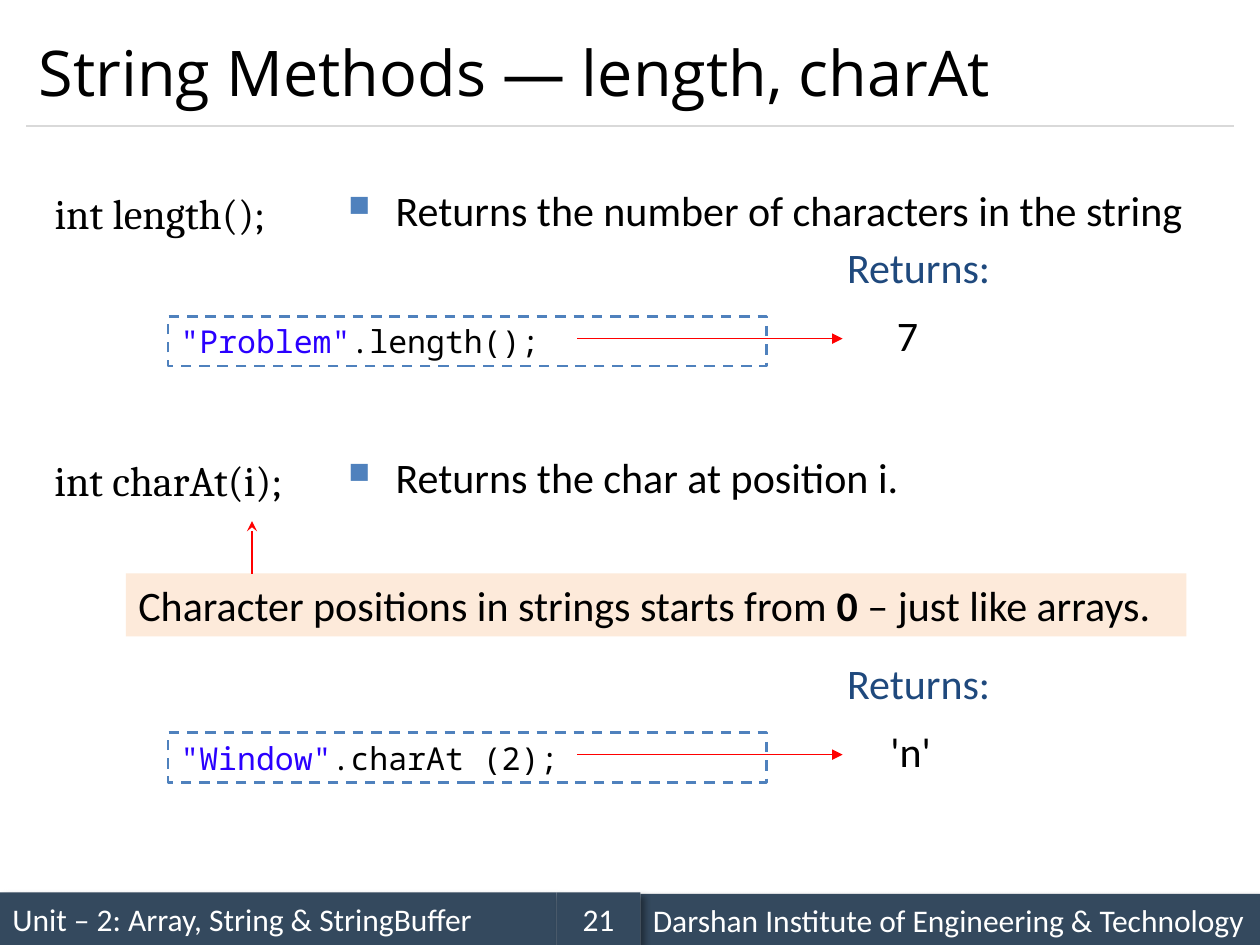
from lxml import etree
from pptx import Presentation
from pptx import util as u
from pptx.dml.color import RGBColor
from pptx.enum import dml, shapes, text
from pptx.oxml.ns import qn

PX = 9525  # EMU per px, 96 px to the inch
COLORS = {"bar": "34495E", "white": "FFFFFF", "black": "000000",
          "rule": "D9D9D9", "accent": "4F81BD", "navy": "1F497D",
          "arrow": "FF0000", "note": "FDEADA", "string": "2A00FF"}
BODY = {"name": "Calibri", "size": u.Pt(24)}
FOOTER = {"name": "Calibri", "size": u.Pt(18)}
TITLE = {"name": "Open Sans", "size": u.Pt(36)}
SIGNATURE = {"name": "Cambria", "size": u.Pt(24)}
CODE = {"name": "Noto Sans Mono", "size": u.Pt(18)}
TOP, MIDDLE = text.MSO_ANCHOR.TOP, text.MSO_ANCHOR.MIDDLE
LEFT, CENTER = text.PP_ALIGN.LEFT, text.PP_ALIGN.CENTER
HANGING = 36


def rgb(key):
    return RGBColor.from_string(COLORS[key])


def place(sp, box):
    sp.left, sp.top, sp.width, sp.height = (v * PX for v in box)


def write(sp, runs, font, anchor=TOP, align=LEFT, grow=False):
    """Fill a shape with one paragraph; each run is (words, colour, bold)."""
    tf = sp.text_frame
    size = text.MSO_AUTO_SIZE
    frame = {"word_wrap": True, "vertical_anchor": anchor,
             "auto_size": size.SHAPE_TO_FIT_TEXT if grow else size.NONE}
    for name, value in frame.items():
        setattr(tf, name, value)
    p = tf.paragraphs[0]
    p.alignment = align
    for words, color, bold in runs:
        r = p.add_run()
        r.text = words
        for name, value in {**font, "bold": bold}.items():
            setattr(r.font, name, value)
        r.font.color.rgb = rgb(color)
    return p


def hang(p, bullet=None):
    """Give a paragraph a hanging indent, with a square bullet if asked."""
    pPr = p._p.get_or_add_pPr()
    pPr.set("marL", str(HANGING * PX))
    pPr.set("indent", str(-HANGING * PX))
    if not bullet:
        etree.SubElement(pPr, qn("a:buNone"))
        return
    clr = etree.SubElement(pPr, qn("a:buClr"))
    etree.SubElement(clr, qn("a:srgbClr"), val=COLORS["accent"])
    etree.SubElement(pPr, qn("a:buSzPct"), val="70000")
    etree.SubElement(pPr, qn("a:buChar"), char=bullet)


def add_text(s, box, runs, font, **layout):
    sp = s.shapes.add_textbox(*(v * PX for v in box))
    return write(sp, runs, font, **layout)


def add_box(s, box, fill=None):
    sp = s.shapes.add_shape(shapes.MSO_SHAPE.RECTANGLE, *(v * PX for v in box))
    sp.shadow.inherit = False
    sp.line.fill.background()
    if fill:
        sp.fill.solid()
        sp.fill.fore_color.rgb = rgb(fill)
    else:
        sp.fill.background()
    return sp


def add_line(s, start, end, color, head=None):
    ln = s.shapes.add_connector(shapes.MSO_CONNECTOR.STRAIGHT,
                                *(v * PX for v in (*start, *end)))
    ln.line.color.rgb = rgb(color)
    ln.line.width = u.Pt(0.75)
    if head:
        etree.SubElement(ln.line._get_or_add_ln(), qn("a:tailEnd"), type=head)
    etree.SubElement(ln._element.spPr, qn("a:effectLst"))


def add_footer(s, box, words, align=LEFT):
    sp = add_box(s, box, "bar")
    effects = sp._element.spPr.find(qn("a:effectLst"))
    shadow = etree.SubElement(effects, qn("a:outerShdw"), blurRad=str(u.Pt(4)),
                              dist=str(u.Pt(3)), dir="2700000")
    clr = etree.SubElement(shadow, qn("a:srgbClr"), val=COLORS["black"])
    etree.SubElement(clr, qn("a:alpha"), val="40000")
    write(sp, [(words, "white", False)], FOOTER, MIDDLE, align)


def format_signature(p):
    for name, value in {"line_spacing": 1.14, "space_before": u.Pt(0)}.items():
        setattr(p, name, value)
    hang(p)


def add_example(s, y, literal, call, result, result_x):
    """Draw a dashed code box with an arrow to its labelled result."""
    add_text(s, (624, y, 152, 48), [("Returns:", "navy", False)], BODY,
             align=CENTER, grow=True)
    add_text(s, (result_x, y + 52, 117, 48), [(result, "black", False)], BODY,
             grow=True)
    sp = add_box(s, (128, y + 62, 456, 38))
    sp.line.color.rgb = rgb("accent")
    sp.line.width = u.Pt(1.5)
    sp.line.dash_style = dml.MSO_LINE.DASH
    write(sp, [(literal, "string", False), (call, "black", False)], CODE,
          grow=True)
    add_line(s, (440, y + 79), (642, y + 79), "arrow", "triangle")


def main():
    prs = Presentation()
    prs.slide_width, prs.slide_height = 960 * PX, 720 * PX
    s = prs.slides.add_slide(prs.slide_layouts[1])

    add_footer(s, (0, 680, 424, 40), "Unit – 2: Array, String & StringBuffer")
    add_footer(s, (488, 681, 472, 40),
               "Darshan Institute of Engineering & Technology")
    add_footer(s, (424, 680, 64, 40), "21", CENTER)
    add_line(s, (20, 96), (940, 96), "rule")

    title, body = s.placeholders
    place(title, (20, 12, 920, 84))
    write(title, [("String Methods — length, charAt", "black", False)], TITLE,
          MIDDLE)

    place(body, (32, 133, 228, 58))
    format_signature(write(body, [("int length();", "black", False)],
                           SIGNATURE))
    format_signature(add_text(s, (32, 336, 228, 58),
                              [("int charAt(i);", "black", False)], SIGNATURE))

    for y, words in ((136, "Returns the number of characters in the string"),
                     (339, "Returns the char at position i.")):
        hang(add_text(s, (256, y, 672, 64), [(words, "black", False)], BODY),
             "■")

    add_example(s, 179, '"Problem"', ".length();", "7", 674)
    add_example(s, 496, '"Window"', ".charAt (2);", "'n'", 669)

    note = add_box(s, (96, 437, 808, 48), "note")
    write(note, [("Character positions in strings starts from ", "black", False),
                 ("0", "black", True),
                 (" – just like arrays.", "black", False)], BODY, grow=True)
    add_line(s, (192, 437), (192, 397), "arrow", "stealth")

    prs.save("out.pptx")


if __name__ == "__main__":
    main()
